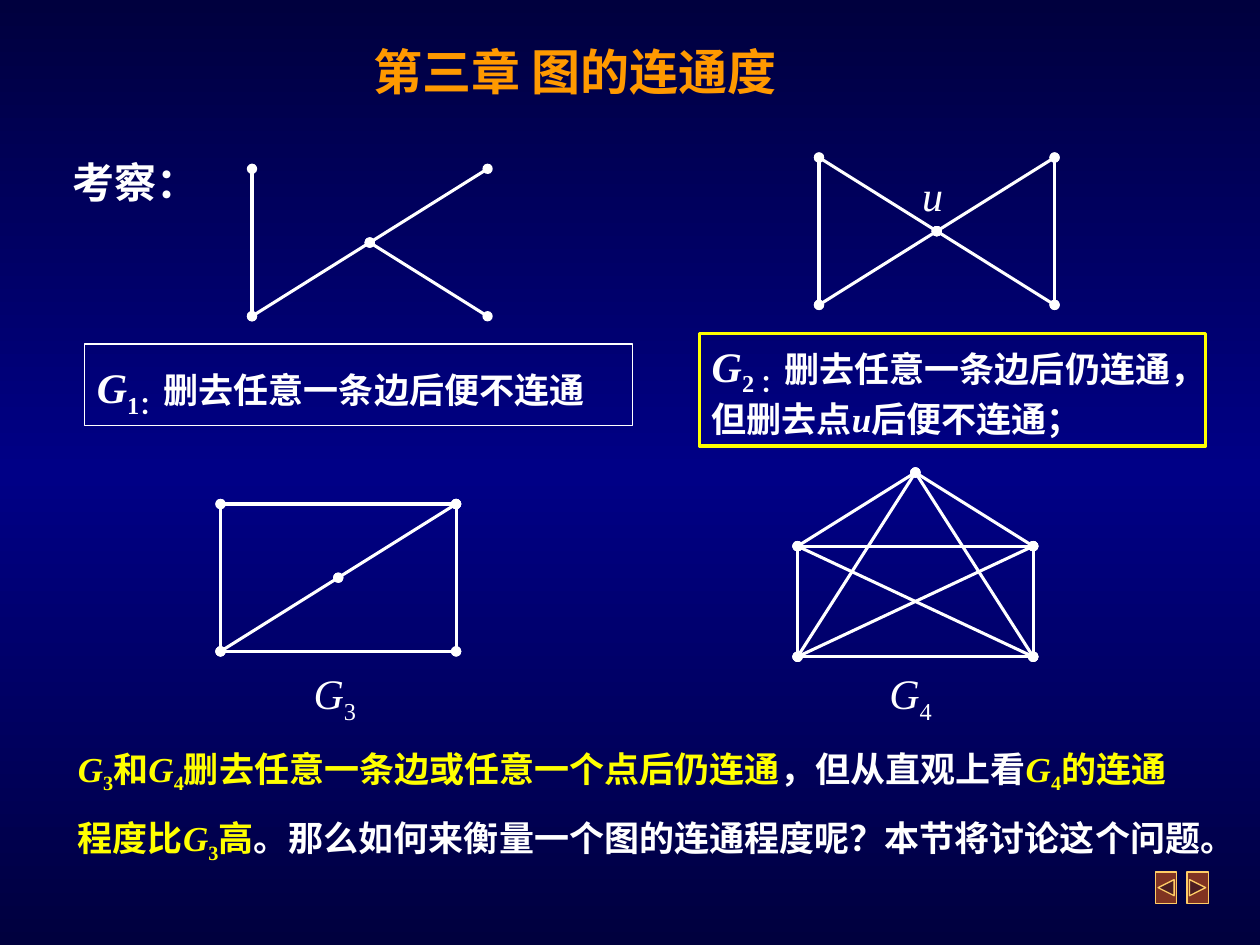
from copy import deepcopy
from dataclasses import dataclass
from typing import Optional

from lxml.etree import SubElement
from pptx import Presentation
from pptx.dml.color import RGBColor
from pptx.enum.shapes import MSO_CONNECTOR, MSO_SHAPE
from pptx.oxml.ns import qn
from pptx.util import Inches, Pt

WHITE = RGBColor(0xFF, 0xFF, 0xFF)
YELLOW = RGBColor(0xFF, 0xFF, 0x00)
ORANGE = RGBColor(0xFF, 0x99, 0x00)
NAVY = RGBColor(0x00, 0x00, 0x3E)
BLUE = RGBColor(0x00, 0x00, 0x86)
BUTTON_FILL = RGBColor(0xFF, 0x66, 0x00)
BUTTON_LINE = RGBColor(0xFF, 0xCC, 0x66)
CJK_FONT = "Noto Sans CJK SC"
LATIN_FONT = "Times New Roman"

WIDTH, HEIGHT = Inches(10), Inches(7.5)
UNIT = WIDTH // 10  # the slide is 10 columns by 7.5 rows
STEP_X, STEP_Y = 0.935, 0.585  # vertex grid, shared by all graphs


@dataclass(frozen=True)
class Span:
    text: str
    italic: bool = False
    subscript: bool = False
    size: Optional[float] = None
    color: Optional[RGBColor] = None


@dataclass(frozen=True)
class Box:
    left: float
    top: float
    width: float
    height: float
    paragraphs: tuple[tuple[Span, ...], ...]
    size: float = 24
    color: RGBColor = WHITE
    bold: bool = True
    font: str = LATIN_FONT
    wrap: bool = True
    spacing: float = 1.0
    border: Optional[RGBColor] = None
    border_width: float = 0.75


@dataclass(frozen=True)
class Graph:
    """Vertices are (column, row) on the vertex grid; edges are pairs of names."""
    left: float
    top: float
    vertices: dict[str, tuple[float, float]]
    edges: str


def symbol(letter: str, index: str = "", **style) -> tuple[Span, ...]:
    name = Span(letter, italic=True, **style)
    return (name, Span(index, subscript=True, **style)) if index else (name,)


CORNERS = {"a": (0, 0), "b": (2, 0), "c": (1, 1), "d": (0, 2), "e": (2, 2)}
HOUSE = {"a": (1, 0), "b": (0, 1), "c": (2, 1), "d": (0, 2.5), "e": (2, 2.5)}

GRAPHS = (
    Graph(2, 1.34, CORNERS, "ce cb da cd"),
    Graph(6.5, 1.25, CORNERS, "ce cb da ac cd be"),
    Graph(1.75, 4, CORNERS, "de cb da ab cd be"),
    Graph(6.33, 3.75, HOUSE, "de bc ba be ac ce bd dc ad ae"),
)

BOXES = (
    Box(2.87, 0.28, 4.17, 0.57, ((Span("第三章 图的连通度"),),),
        size=28, color=ORANGE, font=CJK_FONT),
    Box(0.48, 1.19, 1.45, 0.5, ((Span("考察："),),)),
    Box(7.22, 1.3, 0.69, 0.5, (symbol("u"),), bold=False),
    Box(2.39, 5.25, 0.69, 0.56, (symbol("G", "3"),), bold=False),
    Box(6.96, 5.25, 0.69, 0.56, (symbol("G", "4"),), bold=False),
    Box(0.67, 2.73, 4.35, 0.65,
        ((*symbol("G", "1：", size=24), Span("删去任意一条边后便不连通")),),
        size=20, spacing=1.2, border=WHITE),
    Box(5.55, 2.65, 4.02, 0.89,
        ((*symbol("G", "2 ：", size=24),
          Span("删去任意一条边后仍连通，但删去点"), *symbol("u"),
          Span("后便不连通；")),),
        size=20, border=YELLOW, border_width=1.75),
    Box(0.52, 5.88, 9.52, 1.03,
        ((*symbol("G", "3"), Span("和"), *symbol("G", "4"),
          Span("删去任意一条边或任意一个点后仍连通"),
          Span("，但从直观上看", color=WHITE),
          *symbol("G", "4"), Span("的连通")),
         (Span("程度比"), *symbol("G", "3"), Span("高"),
          Span("。那么如何来衡量一个图的连通程度呢？本节将讨论这个问题。",
               color=WHITE))),
        size=20, color=YELLOW, wrap=False),
)


def paint_background(page) -> None:
    fill = page.background.fill
    fill.gradient()
    fill.gradient_angle = 90
    for stop in fill.gradient_stops:
        stop.color.rgb = NAVY
    stops = page.element.find(".//" + qn("a:gsLst"))
    middle = deepcopy(stops[0])
    middle.set("pos", "50000")
    middle.find(qn("a:srgbClr")).set("val", str(BLUE))
    stops.insert(1, middle)


def draw_edge(page, start: tuple[float, float], end: tuple[float, float]) -> None:
    """Draw an edge with a round vertex at each end."""
    edge = page.shapes.add_connector(
        MSO_CONNECTOR.STRAIGHT, *(round(value * UNIT) for value in start + end))
    edge.line.color.rgb = WHITE
    edge.line.width = Pt(1.75)
    outline = edge.line._get_or_add_ln()
    for name in ("a:headEnd", "a:tailEnd"):
        SubElement(outline, qn(name), type="oval")
    SubElement(edge._element.spPr, qn("a:effectLst"))


def draw_graph(page, graph: Graph) -> None:
    places = {name: (graph.left + column * STEP_X, graph.top + row * STEP_Y)
              for name, (column, row) in graph.vertices.items()}
    for start, end in graph.edges.split():
        draw_edge(page, places[start], places[end])


def add_span(para, span: Span) -> None:
    run = para.add_run()
    run.text = span.text
    if span.italic:
        run.font.italic = True
    if span.size:
        run.font.size = Pt(span.size)
    if span.color is not None:
        run.font.color.rgb = span.color
    properties = run._r.get_or_add_rPr()
    if span.subscript:
        properties.set("baseline", "-25000")
    SubElement(properties, qn("a:ea"), typeface=CJK_FONT)


def draw_box(page, box: Box) -> None:
    shape = page.shapes.add_textbox(
        *(round(value * UNIT) for value in (box.left, box.top, box.width, box.height)))
    if box.border is not None:
        shape.line.color.rgb = box.border
        shape.line.width = Pt(box.border_width)
    frame = shape.text_frame
    frame.word_wrap = box.wrap
    for index, spans in enumerate(box.paragraphs):
        para = frame.add_paragraph() if index else frame.paragraphs[0]
        para.line_spacing = box.spacing
        if index:
            para.space_before = Pt(12.5)
        para.font.size = Pt(box.size)
        para.font.name = box.font
        para.font.bold = box.bold
        para.font.color.rgb = box.color
        for span in spans:
            add_span(para, span)


def draw_button(page, kind: MSO_SHAPE, left: float) -> None:
    button = page.shapes.add_shape(
        kind, *(round(value * UNIT) for value in (left, 6.92, 0.17, 0.25)))
    button.shadow.inherit = False
    button.fill.solid()
    button.fill.fore_color.rgb = BUTTON_FILL
    color = button._element.spPr.find(qn("a:solidFill")).find(qn("a:srgbClr"))
    SubElement(color, qn("a:alpha"), val="50000")
    button.line.color.rgb = BUTTON_LINE
    button.line.width = Pt(0.75)


def main() -> None:
    deck = Presentation()
    deck.slide_width, deck.slide_height = WIDTH, HEIGHT
    page = deck.slides.add_slide(deck.slide_layouts[6])
    paint_background(page)
    for graph in GRAPHS:
        draw_graph(page, graph)
    for box in BOXES:
        draw_box(page, box)
    draw_button(page, MSO_SHAPE.ACTION_BUTTON_BACK_OR_PREVIOUS, 9.17)
    draw_button(page, MSO_SHAPE.ACTION_BUTTON_FORWARD_OR_NEXT, 9.42)
    deck.save("out.pptx")


if __name__ == "__main__":
    main()
